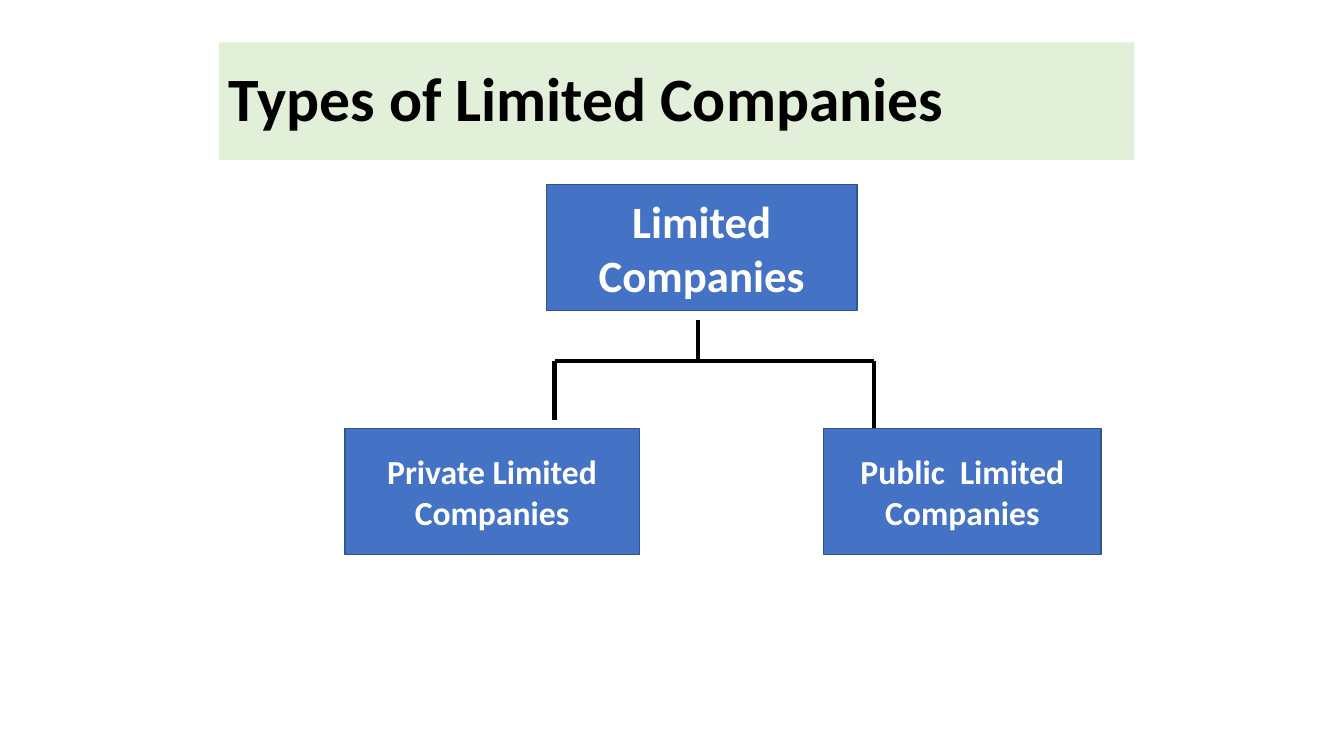
from lxml import etree
from pptx import Presentation
from pptx.dml.color import RGBColor
from pptx.enum.shapes import MSO_CONNECTOR, MSO_SHAPE
from pptx.enum.text import MSO_ANCHOR, PP_ALIGN
from pptx.oxml.ns import qn
from pptx.util import Inches, Pt

RECT = MSO_SHAPE.RECTANGLE
STRAIGHT = MSO_CONNECTOR.STRAIGHT
MIDDLE = MSO_ANCHOR.MIDDLE
LEFT, CENTER = PP_ALIGN.LEFT, PP_ALIGN.CENTER

COLORS = {
    "band": "E2F0D9",
    "box": "4472C4",
    "edge": "325491",
    "black": "000000",
    "white": "FFFFFF",
}


def color(name):
    return RGBColor.from_string(COLORS[name])


def write(shape, text, size=24, ink="white", align=CENTER, space=1.0):
    frame = shape.text_frame
    frame.word_wrap = True
    frame.vertical_anchor = MIDDLE
    para = frame.paragraphs[0]
    para.alignment = align
    para.line_spacing = space
    run = para.add_run()
    run.text = text
    font = run.font
    font.name = "Calibri"
    font.size = Pt(size)
    font.bold = True
    font.color.rgb = color(ink)


class Chart:
    """Draws the parts of a company chart on one slide."""

    def __init__(self, deck):
        self.slide = deck.slides.add_slide(deck.slide_layouts[5])
        self.shapes = self.slide.shapes

    def title(self, text, left, top, width, height):
        shape = self.shapes.title
        shape.left, shape.top = Inches(left), Inches(top)
        shape.width, shape.height = Inches(width), Inches(height)
        shape.fill.solid()
        shape.fill.fore_color.rgb = color("band")
        write(shape, text, size=44, ink="black", align=LEFT, space=0.9)

    def box(self, text, left, top, width, height=1.25, size=24):
        shape = self.shapes.add_shape(
            RECT, Inches(left), Inches(top), Inches(width), Inches(height))
        shape.shadow.inherit = False
        shape.fill.solid()
        shape.fill.fore_color.rgb = color("box")
        shape.line.color.rgb = color("edge")
        shape.line.width = Pt(1)
        write(shape, text, size=size)

    def line(self, x1, y1, x2, y2):
        link = self.shapes.add_connector(
            STRAIGHT, Inches(x1), Inches(y1), Inches(x2), Inches(y2))
        link.line.color.rgb = color("black")
        link.line.width = Pt(3)
        etree.SubElement(link._element.spPr, qn("a:effectLst"))


def main():
    deck = Presentation()
    deck.slide_width, deck.slide_height = Inches(13.33), Inches(7.5)
    chart = Chart(deck)
    chart.title("Types of Limited Companies", 2.17, 0.42, 9.08, 1.17)

    # Company boxes
    row = 4.25
    chart.box("Private Limited Companies", 3.42, row, 2.92)
    chart.box("Public  Limited Companies", 8.17, row, 2.75)
    chart.box("Limited Companies", 5.42, 1.83, 3.08, size=32)

    # Branch lines: stem, crossbar and two drops
    stem, left, right, bar = 6.92, 5.5, 8.67, 3.58
    chart.line(stem, 3.17, stem, bar)
    chart.line(left, bar, right, bar)
    chart.line(left, bar, left, 4.17)
    chart.line(right, bar, right, row)

    deck.save("out.pptx")


if __name__ == "__main__":
    main()
